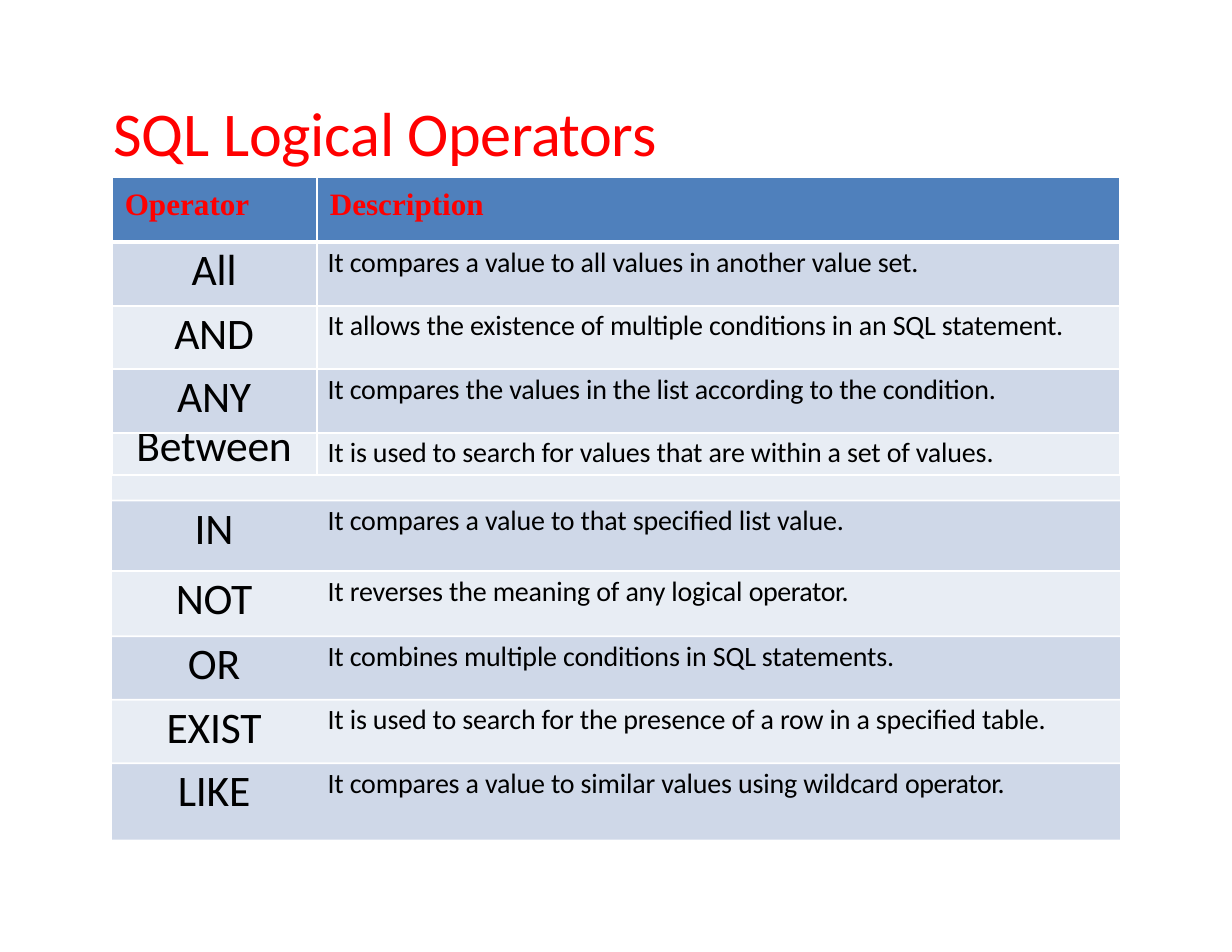
from dataclasses import dataclass
from itertools import accumulate

from lxml import etree
from pptx import Presentation
from pptx.dml.color import RGBColor
from pptx.enum.shapes import MSO_SHAPE
from pptx.enum.text import PP_ALIGN
from pptx.oxml.ns import qn
from pptx.util import Cm, Pt

RECTANGLE = MSO_SHAPE.RECTANGLE
LEFT, CENTER = PP_ALIGN.LEFT, PP_ALIGN.CENTER
NO_TABLE_STYLE = "{2D5ABB26-0587-4C30-8999-92F81FD0307C}"
TIGHT, TIGHTER = -10, -30


@dataclass(frozen=True)
class Theme:
    """Colours, fonts and type sizes of the slide."""
    accent: str = "FF0000"
    ink: str = "000000"
    rule: str = "FFFFFF"
    header: str = "4F80BC"
    bands: tuple = ("CFD8E8", "E8EDF4")
    body_font: str = "Calibri"
    header_font: str = "Times New Roman"
    title_size: float = 40
    header_size: float = 20
    operator_size: float = 28
    description_size: float = 18
    spacer_size: float = 8
    thin: float = 1.5
    thick: float = 3


class SlideBuilder:
    """Draws titles, table cells and rules on one slide in one theme."""

    def __init__(self, slide, theme):
        """Keep the slide and its theme."""
        self.slide, self.theme = slide, theme

    def text(self, frame, pieces, size, color, font, bold=False, align=LEFT, before=0):
        """Set (text, tracking) pieces as one paragraph and return it."""
        paragraph = frame.paragraphs[0]
        paragraph.alignment = align
        paragraph.space_before = Pt(before)
        paragraph.font.size = Pt(size)
        paragraph.font.name = font
        paragraph.font.bold = bold
        paragraph.font.color.rgb = RGBColor.from_string(color)
        for words, tracking in pieces:
            run = paragraph.add_run()
            run.text = words
            run._r.get_or_add_rPr().set("spc", str(tracking))
        return paragraph

    def title(self, pieces, left, top, width, height):
        """Add the slide title."""
        frame = self.slide.shapes.add_textbox(Cm(left), Cm(top), Cm(width), Cm(height)).text_frame
        frame.word_wrap = True
        frame.margin_left = frame.margin_top = Cm(0.03)
        frame.margin_right = frame.margin_bottom = 0
        self.text(frame, pieces, self.theme.title_size, self.theme.accent, self.theme.body_font, before=0.9)

    def table(self, left, top, widths, heights):
        """Add an unstyled table with the given column widths and row heights."""
        table = self.slide.shapes.add_table(
            len(heights), len(widths), Cm(left), Cm(top), Cm(sum(widths)), Cm(sum(heights))).table
        table.first_row = table.horz_banding = False
        table._tbl.tblPr.find(qn("a:tableStyleId")).text = NO_TABLE_STYLE
        for column, width in zip(table.columns, widths):
            column.width = Cm(width)
        for row, height in zip(table.rows, heights):
            row.height = Cm(height)
        return table

    def cell(self, cell, fill, margin_left=0, margin_top=0, borders=None):
        """Fill a cell, set its margins and draw its borders (side to points)."""
        cell.margin_left, cell.margin_top = Cm(margin_left), Cm(margin_top)
        cell.margin_right = cell.margin_bottom = 0
        properties = cell._tc.get_or_add_tcPr()
        for side, points in (borders or {}).items():
            line = etree.SubElement(properties, qn(f"a:ln{side}"), w=str(Pt(points)))
            solid = etree.SubElement(line, qn("a:solidFill"))
            etree.SubElement(solid, qn("a:srgbClr"), val=self.theme.rule)
        cell.fill.solid()
        cell.fill.fore_color.rgb = RGBColor.from_string(fill)

    def rule(self, left, middle, width, thickness):
        """Add a thin bar centred on a row boundary."""
        bar = self.slide.shapes.add_shape(
            RECTANGLE, Cm(left), Cm(middle - thickness / 2), Cm(width), Cm(thickness))
        bar.shadow.inherit = False
        bar.fill.solid()
        bar.fill.fore_color.rgb = RGBColor.from_string(self.theme.rule)
        bar.line.fill.background()


HEADINGS = ("Operator", "Description")
OPERATORS = [
    ("All", "It compares a value to all values in another value set."),
    ("AND", "It allows the existence of multiple conditions in an SQL statement."),
    ("ANY", "It compares the values in the list according to the condition."),
    ("Between", "It is used to search for values that are within a set of values."),
    None,
    ("IN", "It compares a value to that specified list value."),
    ("NOT", "It reverses the meaning of any logical operator."),
    ("OR", "It combines multiple conditions in SQL statements."),
    ("EXIST", "It is used to search for the presence of a row in a specified table."),
    ("LIKE", "It compares a value to similar values using wildcard operator."),
]
SPACER_ROW = OPERATORS.index(None) + 1
TABLE_LEFT, TABLE_TOP = 2.53, 4.02
COLUMN_WIDTHS = (4.65, 18.21)
ROW_HEIGHTS = (1.47, 1.44, 1.44, 1.44, 0.97, 0.57, 1.6, 1.48, 1.44, 1.44, 1.75)


def tracked(description):
    """Split off a closing 'operator.' so that it is set tighter."""
    tail = "operator."
    if description.endswith(tail):
        return [(description.removesuffix(tail), TIGHT), (tail, TIGHTER)]
    return [(description, TIGHT)]


def fill_table(builder, table):
    """Set the headings and one banded row for each operator."""
    theme = builder.theme
    grid = dict.fromkeys("LRTB", theme.thin)
    for column, heading in enumerate(HEADINGS):
        cell = table.cell(0, column)
        builder.cell(cell, theme.header, 0.3, 0.23, grid | {"B": theme.thick})
        builder.text(cell.text_frame, [(heading, 0)], theme.header_size, theme.accent,
                     theme.header_font, bold=True, before=6.8)
    for row, entry in enumerate(OPERATORS, 1):
        name_cell, description_cell = table.cell(row, 0), table.cell(row, 1)
        if entry is None:
            name_cell.merge(description_cell)
            builder.cell(name_cell, theme.bands[1])
            builder.text(name_cell.text_frame, [], theme.spacer_size, theme.ink, theme.body_font)
            continue
        band = theme.bands[(row - 1 - (row > SPACER_ROW)) % 2]
        borders = None
        if row < SPACER_ROW:
            borders = grid | {"T": theme.thick if row == 1 else theme.thin}
        name, description = entry
        builder.cell(name_cell, band, 0, 0.05, borders)
        label = builder.text(name_cell.text_frame, [(name, TIGHT)], theme.operator_size,
                             theme.ink, theme.body_font, align=CENTER, before=1.7)
        if row == SPACER_ROW - 1:
            label.line_spacing = Pt(24.9)
        builder.cell(description_cell, band, 0.25, 0.08, borders)
        builder.text(description_cell.text_frame, tracked(description), theme.description_size,
                     theme.ink, theme.body_font, before=2.3)


def main():
    """Build the slide and save it."""
    presentation = Presentation()
    presentation.slide_width, presentation.slide_height = Cm(27.94), Cm(21.59)
    slide = presentation.slides.add_slide(presentation.slide_layouts[6])
    builder = SlideBuilder(slide, Theme())
    builder.title([("SQL Logical", TIGHT), (" Operators", TIGHTER)], 2.54, 2.11, 12.52, 1.75)
    fill_table(builder, builder.table(TABLE_LEFT, TABLE_TOP, COLUMN_WIDTHS, ROW_HEIGHTS))
    row_bottoms = list(accumulate(ROW_HEIGHTS, initial=TABLE_TOP))[1:]
    for bottom in row_bottoms[SPACER_ROW:]:
        builder.rule(2.51, bottom, 22.91, 0.04)
    presentation.save("out.pptx")


if __name__ == "__main__":
    main()
